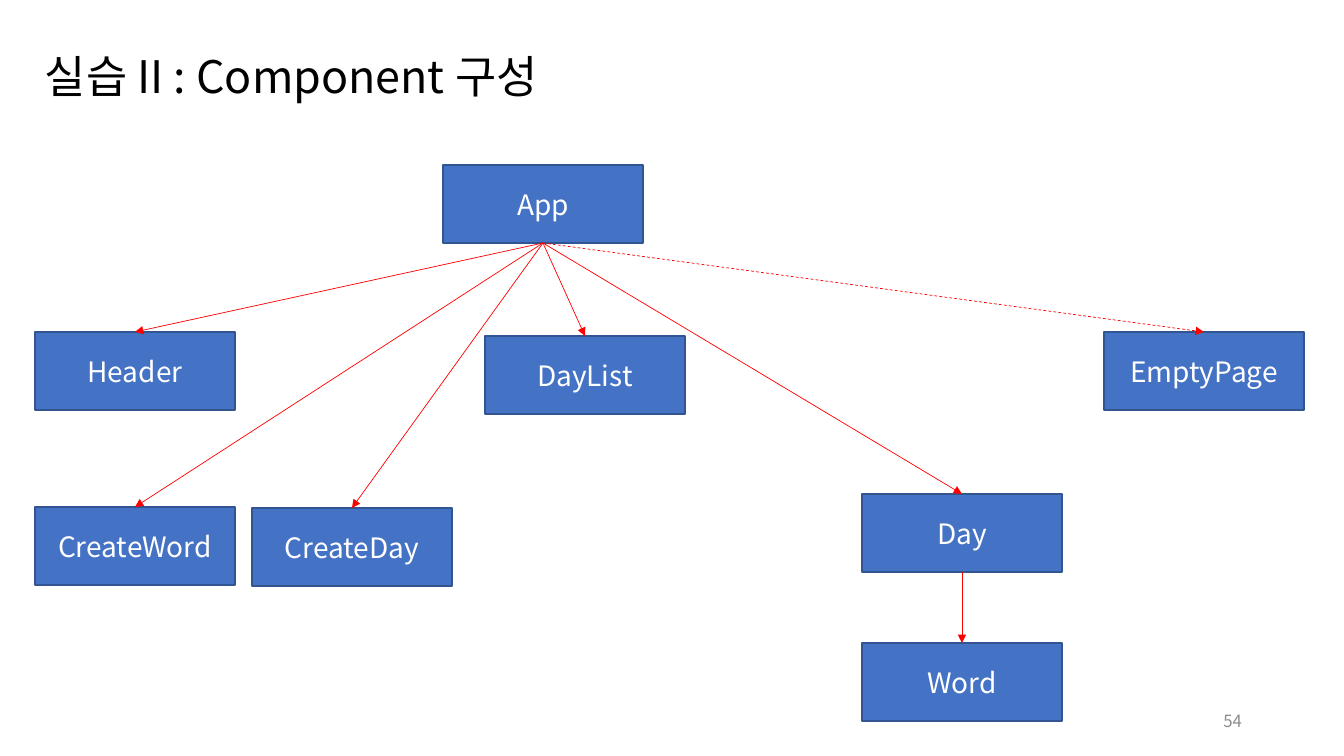
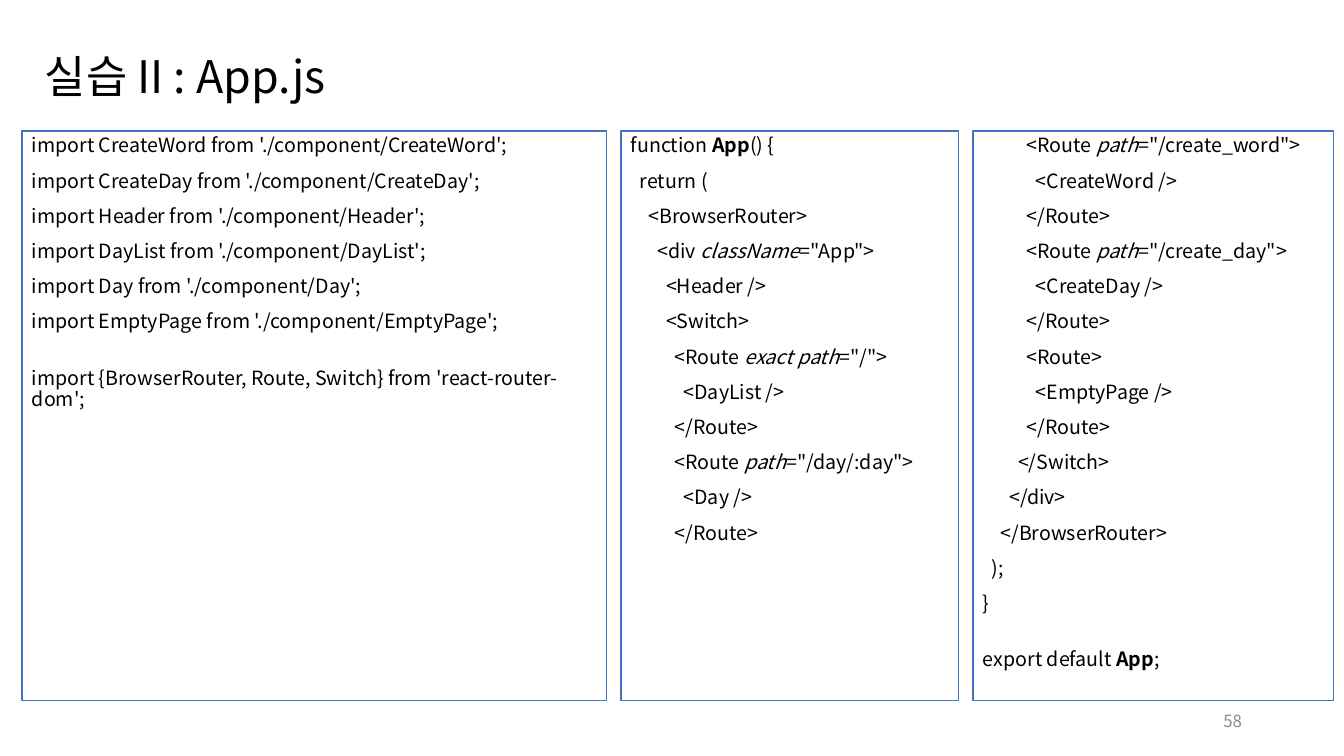
from lxml import etree
from pptx import Presentation
from pptx.dml.color import RGBColor
from pptx.enum.dml import MSO_LINE
from pptx.enum.shapes import MSO_CONNECTOR, MSO_SHAPE
from pptx.enum.text import MSO_ANCHOR, PP_ALIGN
from pptx.oxml.ns import qn
from pptx.util import Pt

DASH = MSO_LINE.DASH
STRAIGHT = MSO_CONNECTOR.STRAIGHT
RECTANGLE = MSO_SHAPE.RECTANGLE
TOP, MIDDLE = MSO_ANCHOR.TOP, MSO_ANCHOR.MIDDLE
LEFT, CENTER, RIGHT = PP_ALIGN.LEFT, PP_ALIGN.CENTER, PP_ALIGN.RIGHT
TOP_SITE, BOTTOM_SITE = 0, 2

FONT = "Noto Sans CJK KR"
COLORS = {
    "text": "000000",
    "number": "8C8C8C",
    "node": "4472C4",
    "node_line": "325491",
    "node_text": "FFFFFF",
    "arrow": "FF0000",
    "code_line": "4472C4",
}
SLIDE_WIDTH, SLIDE_HEIGHT = 1344, 756
EMU_PER_PX = 12192000 / SLIDE_WIDTH


def px(length):
    return round(length * EMU_PER_PX)


def color(name):
    return RGBColor.from_string(COLORS[name])


def bold(text):
    return text, {"bold": True}


def italic(text):
    return text, {"italic": True}


def write_text(shape, paragraphs, size=14, ink="text", align=LEFT, anchor=TOP,
               line_spacing=None, space_before=0, section_space=0):
    """Write paragraphs, each a tuple of runs; an empty one opens a new section."""
    frame = shape.text_frame
    frame.word_wrap = True
    frame.vertical_anchor = anchor
    paragraph, gap = None, 0
    for runs in paragraphs:
        if not runs:
            gap = section_space
            continue
        paragraph = frame.add_paragraph() if paragraph else frame.paragraphs[0]
        paragraph.alignment = align
        paragraph.line_spacing = line_spacing
        paragraph.space_before = Pt(gap)
        gap = space_before
        for item in runs:
            text, style = (item, {}) if isinstance(item, str) else item
            run = paragraph.add_run()
            run.text = text
            run.font.size = Pt(size)
            run.font.color.rgb = color(ink)
            run.font.name = FONT
            run.font.bold = style.get("bold", False)
            run.font.italic = style.get("italic", False)
            properties = run._r.get_or_add_rPr()
            etree.SubElement(properties, qn("a:ea")).set("typeface", FONT)


class Deck:
    """Holds the presentation, its style and the current slide."""

    def __init__(self):
        self.presentation = Presentation()
        self.presentation.slide_width = px(SLIDE_WIDTH)
        self.presentation.slide_height = px(SLIDE_HEIGHT)
        self.slide = None

    def start_slide(self, title, number):
        layout = self.presentation.slide_layouts[6]
        self.slide = self.presentation.slides.add_slide(layout)
        self.text_box(35, 40, 1276, 78, title, size=32, line_spacing=0.9)
        self.text_box(950, 701, 302, 40, number, size=12, ink="number", align=RIGHT)

    def text_box(self, left, top, width, height, text, **text_format):
        shape = self.slide.shapes.add_textbox(px(left), px(top), px(width), px(height))
        write_text(shape, [(text,)], anchor=MIDDLE, **text_format)

    def rectangle(self, left, top, width, height, line, line_width, fill=None):
        shape = self.slide.shapes.add_shape(
            RECTANGLE, px(left), px(top), px(width), px(height))
        shape.shadow.inherit = False
        if fill:
            shape.fill.solid()
            shape.fill.fore_color.rgb = color(fill)
        else:
            shape.fill.background()
        shape.line.color.rgb = color(line)
        shape.line.width = Pt(line_width)
        return shape

    def node(self, left, top, name):
        shape = self.rectangle(left, top, 200, 78, "node_line", 1, fill="node")
        write_text(shape, [(name,)], size=20, ink="node_text", align=CENTER, anchor=MIDDLE)
        return shape

    def arrow(self, parent, child, dash=None):
        connector = self.slide.shapes.add_connector(STRAIGHT, 0, 0, 0, 0)
        connector.begin_connect(parent, BOTTOM_SITE)
        connector.end_connect(child, TOP_SITE)
        line = connector.line
        line.color.rgb = color("arrow")
        line.width = Pt(0.5)
        if dash:
            line.dash_style = dash
        etree.SubElement(line._get_or_add_ln(), qn("a:tailEnd")).set("type", "triangle")
        etree.SubElement(connector._element.spPr, qn("a:effectLst"))

    def code_box(self, left, width, lines):
        shape = self.rectangle(left, 131, width, 570, "code_line", 0.75)
        write_text(shape, lines, line_spacing=0.9, space_before=10, section_space=25)


# Component tree: name -> left, top
NODES = {
    "App": (443, 165),
    "Header": (35, 332),
    "DayList": (485, 336),
    "Day": (862, 494),
    "Word": (862, 643),
    "CreateWord": (35, 507),
    "CreateDay": (252, 508),
    "EmptyPage": (1104, 332),
}
ARROWS = [
    ("App", "Header", None),
    ("App", "DayList", None),
    ("App", "EmptyPage", DASH),
    ("App", "CreateWord", None),
    ("App", "CreateDay", None),
    ("App", "Day", None),
    ("Day", "Word", None),
]

# Source code: one tuple of runs a line
COMPONENTS = ["CreateWord", "CreateDay", "Header", "DayList", "Day", "EmptyPage"]
IMPORT_LINES = [(f"import {name} from './component/{name}';",) for name in COMPONENTS] + [
    (),
    ("import {BrowserRouter, Route, Switch} from 'react-router-dom';",),
]
APP_LINES = [
    ("function ", bold("App"), "() {"),
    ("  return (",),
    ("    <BrowserRouter>",),
    ("      <div ", italic("className"), '="App">'),
    ("        <Header />",),
    ("        <Switch>",),
    ("          <Route ", italic("exact path"), '="/">'),
    ("            <DayList />",),
    ("          </Route>",),
    ("          <Route ", italic("path"), '="/day/:day">'),
    ("            <Day />",),
    ("          </Route>",),
]
ROUTE_LINES = [
    ("          <Route ", italic("path"), '="/create_word">'),
    ("            <CreateWord />",),
    ("          </Route>",),
    ("          <Route ", italic("path"), '="/create_day">'),
    ("            <CreateDay />",),
    ("          </Route>",),
    ("          <Route>",),
    ("            <EmptyPage />",),
    ("          </Route>",),
    ("        </Switch>",),
    ("      </div>",),
    ("    </BrowserRouter>",),
    ("  );",),
    ("}",),
    (),
    ("export default ", bold("App"), ";"),
]
CODE_LEFT, CODE_GAP = 22, 14
CODE_COLUMNS = [(585, IMPORT_LINES), (338, APP_LINES), (361, ROUTE_LINES)]


def main():
    deck = Deck()

    # Component diagram
    deck.start_slide("실습 II : Component 구성", "54")
    nodes = {name: deck.node(left, top, name) for name, (left, top) in NODES.items()}
    for parent, child, dash in ARROWS:
        deck.arrow(nodes[parent], nodes[child], dash)

    # App.js in three columns
    deck.start_slide("실습 II : App.js", "58")
    left = CODE_LEFT
    for width, lines in CODE_COLUMNS:
        deck.code_box(left, width, lines)
        left += width + CODE_GAP

    deck.presentation.save("out.pptx")


if __name__ == "__main__":
    main()
